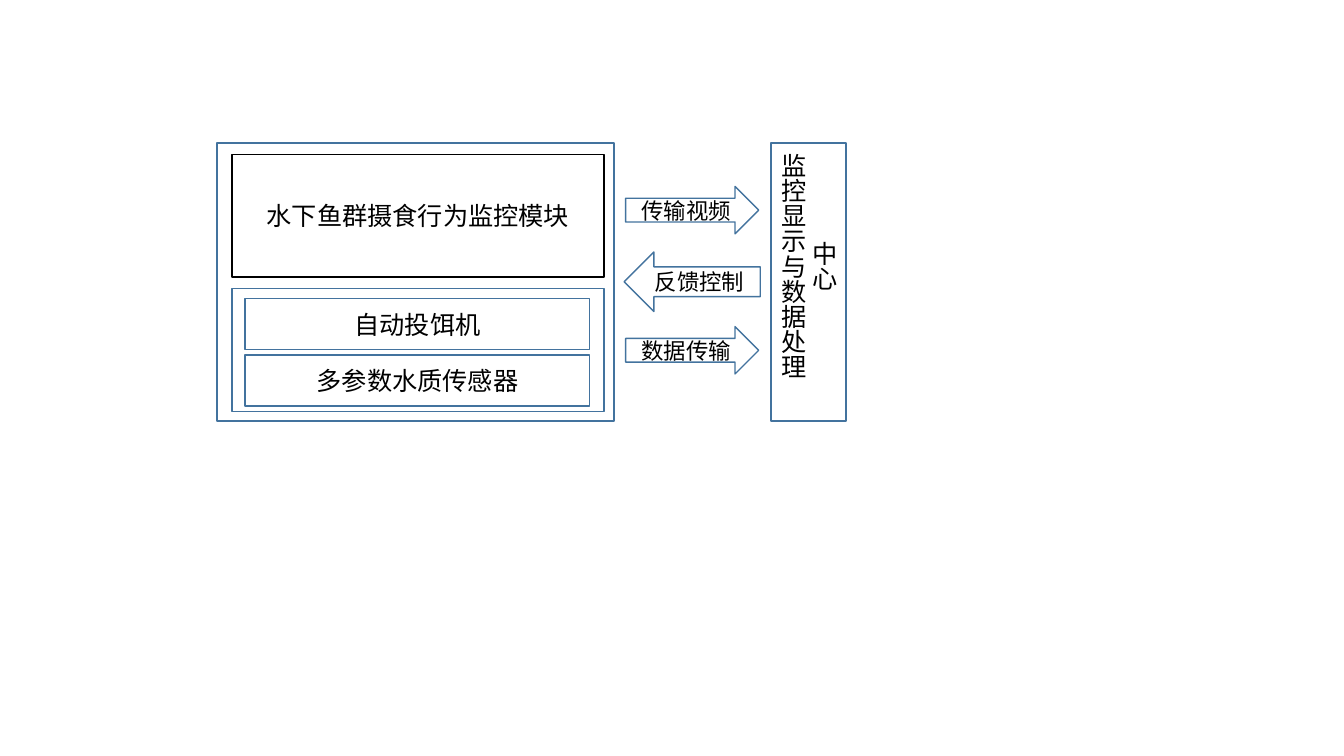
from dataclasses import dataclass

from lxml import etree
from pptx import Presentation
from pptx.dml.color import RGBColor
from pptx.enum.shapes import MSO_SHAPE
from pptx.enum.text import MSO_ANCHOR, PP_ALIGN
from pptx.oxml.ns import qn
from pptx.util import Inches, Pt

RECT = MSO_SHAPE.RECTANGLE
RIGHT, LEFT = MSO_SHAPE.RIGHT_ARROW, MSO_SHAPE.LEFT_ARROW
MIDDLE, CENTER = MSO_ANCHOR.MIDDLE, PP_ALIGN.CENTER


@dataclass(frozen=True)
class Theme:
    font: str = "Noto Sans CJK SC"
    blue: RGBColor = RGBColor(0x43, 0x73, 0x9E)
    black: RGBColor = RGBColor(0, 0, 0)
    white: RGBColor = RGBColor(255, 255, 255)
    box_size: int = 18
    arrow_size: int = 16
    frame_line: float = 1.5
    thin_line: float = 1


THEME = Theme()


def add_block(slide, kind, box, text="", size=THEME.box_size,
              line=THEME.blue, width=THEME.thin_line, fill=None):
    """Draw an outlined shape with centred text in box (x, y, w, h)."""
    s = slide.shapes.add_shape(kind, *(Inches(v) for v in box))
    s.shadow.inherit = False
    s.line.color.rgb = line
    s.line.width = Pt(width)
    if fill is None:
        s.fill.background()
    else:
        s.fill.solid()
        s.fill.fore_color.rgb = fill
    tf = s.text_frame
    tf.text = text
    tf.vertical_anchor = MIDDLE
    for p in tf.paragraphs:
        p.alignment = CENTER
        for r in p.runs:
            r.font.size = Pt(size)
            r.font.name = THEME.font
            r.font.color.rgb = THEME.black
            ea = etree.SubElement(r.font._element, qn("a:ea"))
            ea.set("typeface", THEME.font)
    return s


def add_field_unit(slide, box):
    """Monitoring module above a group of two devices."""
    x, y, w, h = box
    add_block(slide, RECT, box, width=THEME.frame_line)

    # Two equal panels
    px, pw, ph = x + 0.15, w - 0.25, 1.22
    top, group_top = y + 0.11, y + h - 0.1 - ph
    add_block(slide, RECT, (px, top, pw, ph), "水下鱼群摄食行为监控模块",
              line=THEME.black, fill=THEME.white)
    add_block(slide, RECT, (px, group_top, pw, ph))

    # Devices in the lower panel
    for i, name in enumerate(("自动投饵机", "多参数水质传感器")):
        add_block(slide, RECT,
                  (px + 0.13, group_top + 0.1 + 0.56 * i, pw - 0.27, 0.51), name)


def add_links(slide, box):
    """Arrows between the field unit and the centre."""
    x, y, w, h = box
    links = (
        (RIGHT, "传输视频", 0.43, 0.47, 1.32),
        (LEFT, "反馈控制", 1.08, 0.59, 1.35),
        (RIGHT, "数据传输", 1.82, 0.47, 1.32),
    )
    for kind, text, dy, height, width in links:
        add_block(slide, kind, (x + (w - width) / 2, y + dy, width, height),
                  text, THEME.arrow_size)


def add_centre(slide, box):
    """Monitoring centre with vertical text, columns from right to left."""
    s = add_block(slide, RECT, box, "中心\n监控显示与数据处理",
                  width=THEME.frame_line)
    s.text_frame._txBody.bodyPr.set("vert", "eaVert")


def main():
    prs = Presentation()
    prs.slide_width, prs.slide_height = Inches(13.33), Inches(7.5)
    slide = prs.slides.add_slide(prs.slide_layouts[6])
    top, height = 1.42, 2.76
    add_field_unit(slide, (2.15, top, 3.94, height))
    add_links(slide, (6.19, top, 1.35, height))
    add_centre(slide, (7.65, top, 0.74, height))
    prs.save("out.pptx")


if __name__ == "__main__":
    main()
